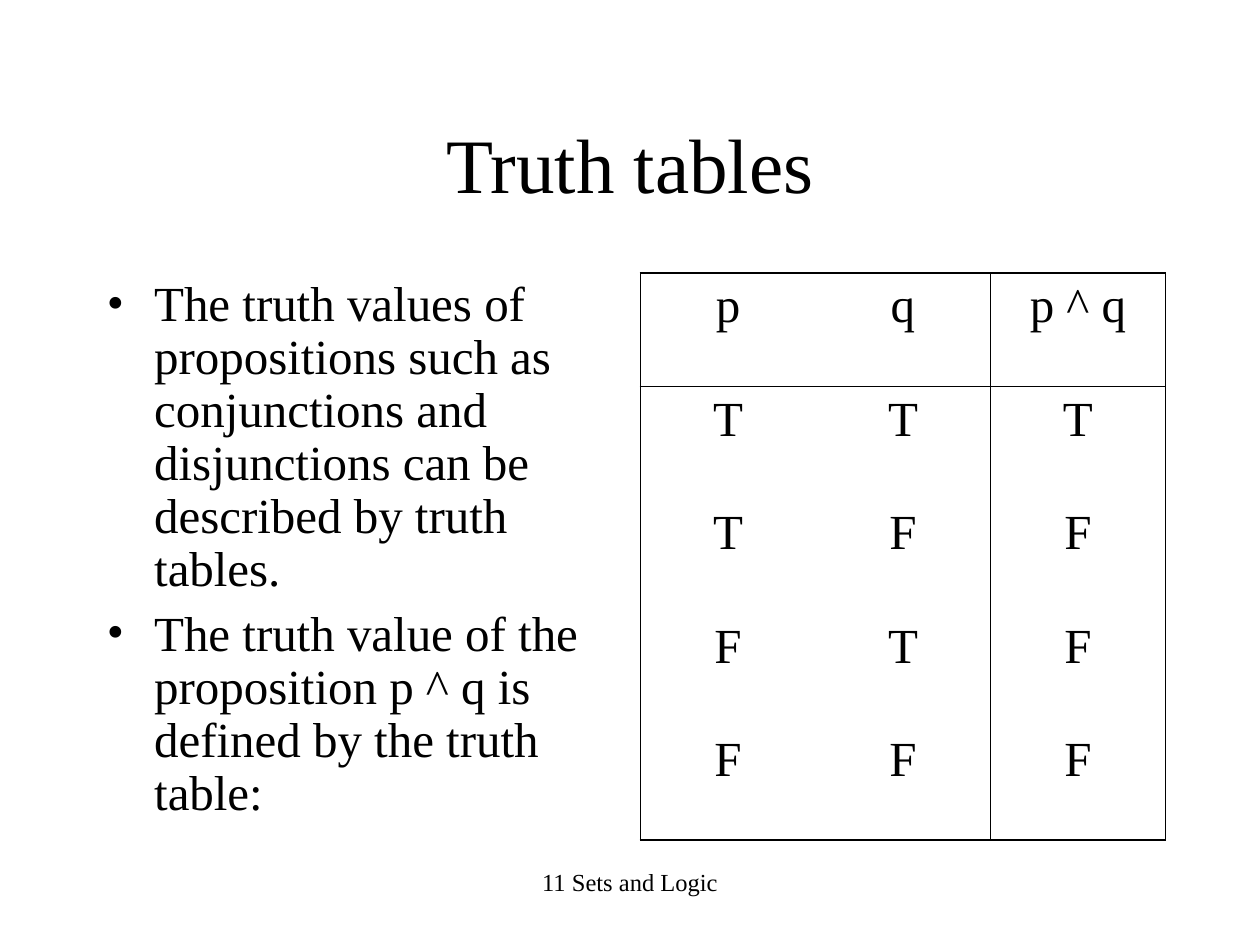
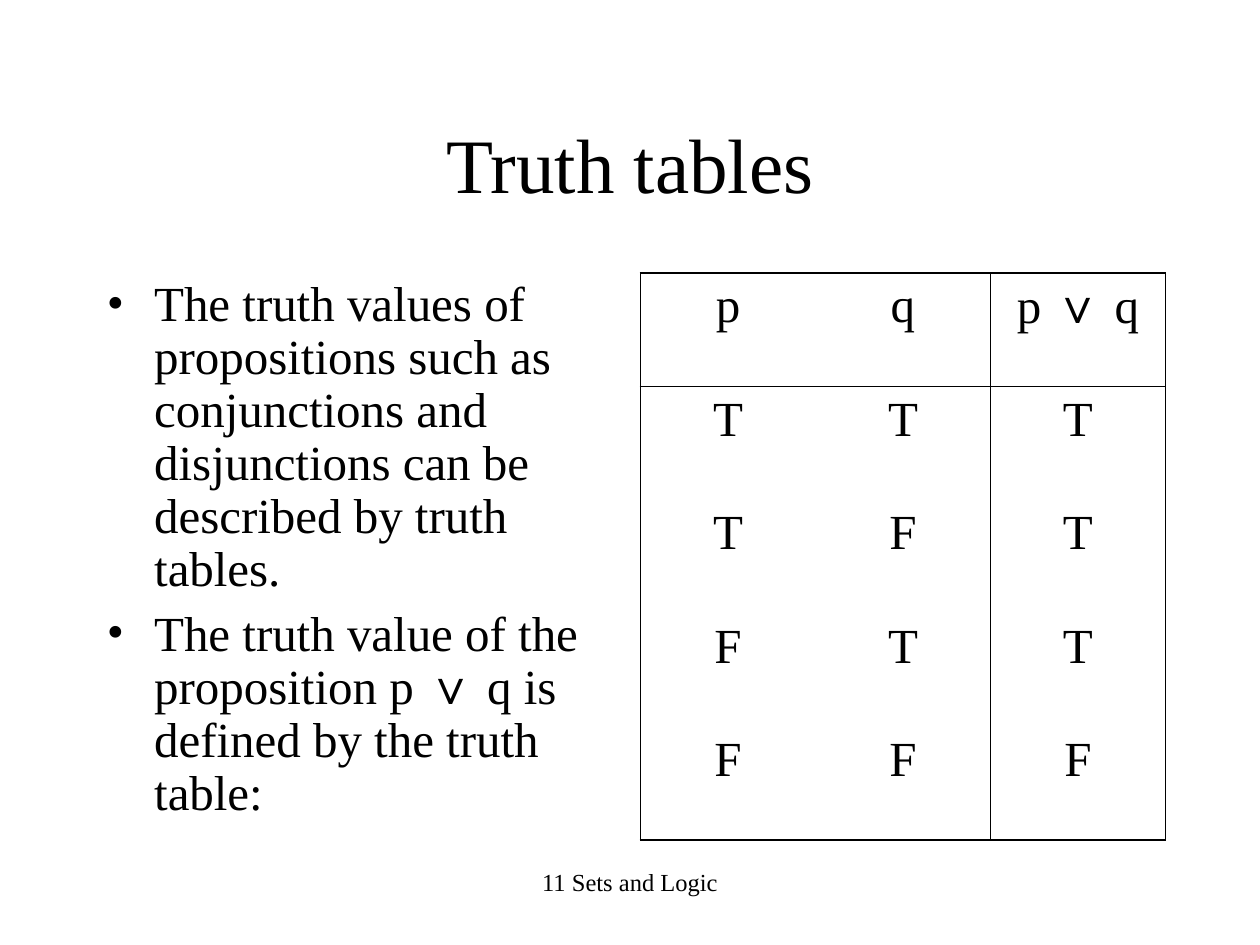
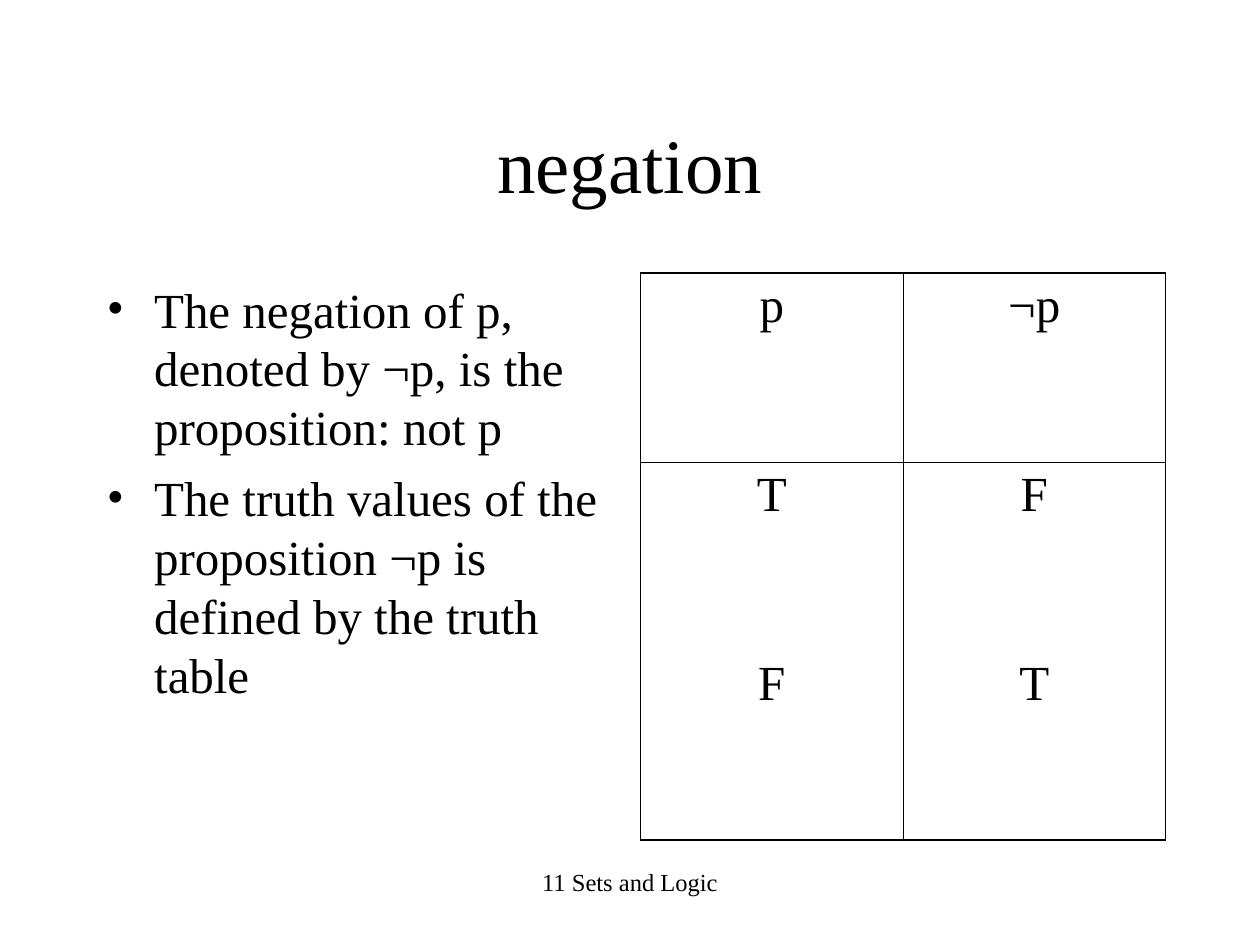
from dataclasses import dataclass

from lxml.etree import SubElement
from pptx import Presentation
from pptx.dml.color import RGBColor
from pptx.enum.text import MSO_ANCHOR as Anchor, PP_ALIGN as Align
from pptx.oxml.ns import qn
from pptx.slide import Slide
from pptx.table import _Cell as Cell
from pptx.text.text import TextFrame, _Paragraph as Paragraph
from pptx.util import Pt

BLACK = RGBColor(0x00, 0x00, 0x00)
FONT = "Times New Roman"
SYMBOL_FONT = "Arial"
OR = "∨"
TITLE_SIZE, BODY_SIZE, FOOTER_SIZE = 44, 28, 14
SPACE_BEFORE = 7
BULLET_INDENT = 27
OUTLINE = 1.08
FOOTER = "11 Sets and Logic"


@dataclass(frozen=True)
class Box:
    """A rectangle in points."""
    left: float
    top: float
    width: float
    height: float

    def lengths(self) -> tuple[Pt, Pt, Pt, Pt]:
        """Return the four lengths in the order the shape methods take."""
        return Pt(self.left), Pt(self.top), Pt(self.width), Pt(self.height)


@dataclass(frozen=True)
class TruthSlide:
    """A title, bullets and the truth table they define."""
    title: str
    bullets: tuple[str, ...]
    rows: tuple[str, ...]
    body_width: float = 300
    line_spacing: float = 0.9
    rule_width: float = OUTLINE


TITLE_BOX = Box(54, 48, 612, 90)
TABLE_BOX = Box(366, 156, 300, 324)
FOOTER_BOX = Box(246, 492, 228, 36)


def connective_slide(formula: str, values: str) -> TruthSlide:
    """Describe the slide for a connective of p and q."""
    inputs = ("T,T", "T,F", "F,T", "F,F")
    return TruthSlide(
        "Truth tables",
        ("The truth values of propositions such as conjunctions and "
         "disjunctions can be described by truth tables.",
         f"The truth value of the proposition {formula} is defined by the truth table:"),
        (f"p,q,{formula}", *(f"{pair},{v}" for pair, v in zip(inputs, values))),
    )


SLIDES = (
    connective_slide("p ^ q", "TFFF"),
    connective_slide(f"p {OR} q", "TTTF"),
    TruthSlide(
        "negation",
        ("The negation of p, denoted by ¬p, is the proposition: not p",
         "The truth values of the proposition ¬p is defined by the truth table"),
        ("p,¬p", "T,F", "F,T"),
        body_width=306,
        line_spacing=1.0,
        rule_width=0.45,
    ),
)


def write(p: Paragraph, text: str, size: float, align: Align) -> None:
    """Fill a paragraph, setting the or sign in the symbol font."""
    p.alignment = align
    for part in filter(None, text.partition(OR)):
        r = p.add_run()
        r.text = part
        r.font.name = SYMBOL_FONT if part == OR else FONT
        r.font.size = Pt(size)
        r.font.color.rgb = BLACK


def add_text_frame(s: Slide, box: Box, anchor: Anchor = Anchor.TOP) -> TextFrame:
    """Add a wrapping text box and return its text frame."""
    tf = s.shapes.add_textbox(*box.lengths()).text_frame
    tf.word_wrap = True
    tf.vertical_anchor = anchor
    return tf


def add_bullet(p: Paragraph) -> None:
    """Give a paragraph a black hanging bullet."""
    pPr = p._p.get_or_add_pPr()
    pPr.set("marL", str(Pt(BULLET_INDENT)))
    pPr.set("indent", str(-Pt(BULLET_INDENT)))
    color = SubElement(pPr, qn("a:buClr"))
    SubElement(color, qn("a:srgbClr"), val=str(BLACK))
    SubElement(pPr, qn("a:buFont"), typeface=FONT)
    SubElement(pPr, qn("a:buChar"), char="•")


def add_bullets(s: Slide, spec: TruthSlide) -> None:
    """Add the bulleted text left of the table."""
    tf = add_text_frame(s, Box(54, 156, spec.body_width, 324))
    for i, text in enumerate(spec.bullets):
        p = tf.add_paragraph() if i else tf.paragraphs[0]
        write(p, text, BODY_SIZE, Align.LEFT)
        p.line_spacing = spec.line_spacing
        p.space_before = Pt(SPACE_BEFORE)
        add_bullet(p)


def set_borders(cell: Cell, widths: dict[str, float]) -> None:
    """Draw the cell's sides, leaving out those of zero width."""
    tcPr = cell._tc.get_or_add_tcPr()
    for side, width in widths.items():
        ln = SubElement(tcPr, qn(f"a:ln{side}"), w=str(Pt(width)))
        if width:
            fill = SubElement(ln, qn("a:solidFill"))
            SubElement(fill, qn("a:srgbClr"), val=str(BLACK))
        else:
            SubElement(ln, qn("a:noFill"))


def add_truth_table(s: Slide, spec: TruthSlide) -> None:
    """Add the table, ruled below its header and before its last column."""
    rows = [row.split(",") for row in spec.rows]
    n_rows, n_cols = len(rows), len(rows[0])
    table = s.shapes.add_table(n_rows, n_cols, *TABLE_BOX.lengths()).table
    table.first_row = table.horz_banding = False
    v_rules = {0: OUTLINE, n_cols - 1: spec.rule_width, n_cols: OUTLINE}
    h_rules = {0: OUTLINE, 1: spec.rule_width, n_rows: OUTLINE}
    for i, row in enumerate(rows):
        for j, text in enumerate(row):
            cell = table.cell(i, j)
            p = cell.text_frame.paragraphs[0]
            write(p, text, BODY_SIZE, Align.CENTER)
            p.space_before = Pt(SPACE_BEFORE)
            set_borders(cell, {
                "L": v_rules.get(j, 0), "R": v_rules.get(j + 1, 0),
                "T": h_rules.get(i, 0), "B": h_rules.get(i + 1, 0),
            })
            cell.fill.background()


def add_slide(prs: Presentation, spec: TruthSlide) -> None:
    """Add one slide with its title, bullets, table and footer."""
    s = prs.slides.add_slide(prs.slide_layouts[6])
    title = add_text_frame(s, TITLE_BOX, Anchor.MIDDLE)
    write(title.paragraphs[0], spec.title, TITLE_SIZE, Align.CENTER)
    add_bullets(s, spec)
    add_truth_table(s, spec)
    footer = add_text_frame(s, FOOTER_BOX)
    write(footer.paragraphs[0], FOOTER, FOOTER_SIZE, Align.CENTER)


def main() -> None:
    """Build and save the presentation."""
    prs = Presentation()
    prs.slide_width, prs.slide_height = Pt(720), Pt(540)
    for spec in SLIDES:
        add_slide(prs, spec)
    prs.save("out.pptx")


if __name__ == "__main__":
    main()
